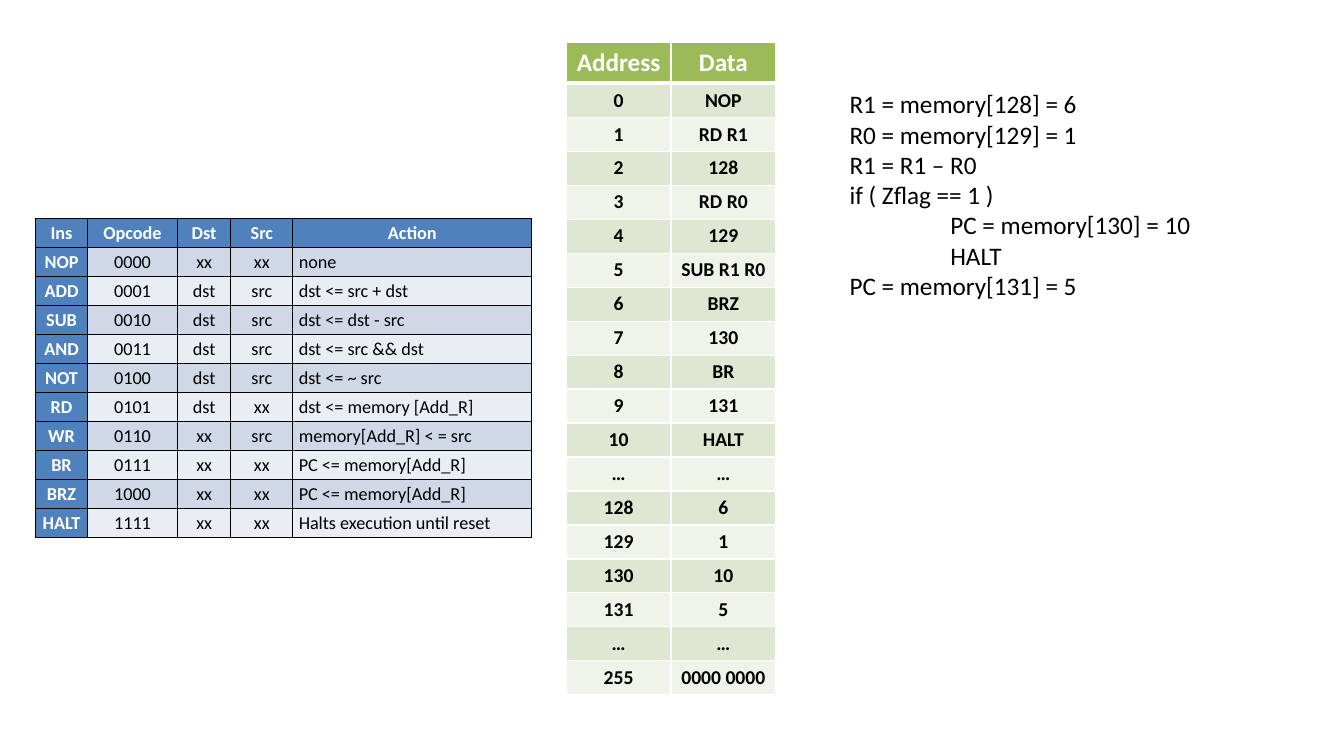
from pptx import Presentation
from pptx.dml.color import RGBColor
from pptx.enum.text import MSO_ANCHOR as Anchor, PP_ALIGN as Align
from pptx.oxml import parse_xml
from pptx.oxml.ns import nsdecls
from pptx.util import Cm, Pt

WHITE = RGBColor(0xFF, 0xFF, 0xFF)
BLACK = RGBColor(0x00, 0x00, 0x00)
GREEN = RGBColor(0x9B, 0xBB, 0x59)
MOSS = RGBColor(0xDE, 0xE7, 0xD1)
MINT = RGBColor(0xEF, 0xF3, 0xEA)
BLUE = RGBColor(0x4F, 0x81, 0xBD)
STEEL = RGBColor(0xD0, 0xD8, 0xE8)
ICE = RGBColor(0xE9, 0xED, 0xF4)

MEMORY = [
    ("Address", "Data"),
    ("0", "NOP"), ("1", "RD R1"), ("2", "128"), ("3", "RD R0"),
    ("4", "129"), ("5", "SUB R1 R0"), ("6", "BRZ"), ("7", "130"),
    ("8", "BR"), ("9", "131"), ("10", "HALT"), ("…", "…"),
    ("128", "6"), ("129", "1"), ("130", "10"), ("131", "5"),
    ("…", "…"), ("255", "0000 0000"),
]
CODES = [
    ("Ins", "Opcode", "Dst", "Src", "Action"),
    ("NOP", "0000", "xx", "xx", "none"),
    ("ADD", "0001", "dst", "src", "dst <= src + dst"),
    ("SUB", "0010", "dst", "src", "dst <= dst - src"),
    ("AND", "0011", "dst", "src", "dst <= src && dst"),
    ("NOT", "0100", "dst", "src", "dst <= ~ src"),
    ("RD", "0101", "dst", "xx", "dst <= memory [Add_R]"),
    ("WR", "0110", "xx", "src", "memory[Add_R] < = src"),
    ("BR", "0111", "xx", "xx", "PC <= memory[Add_R]"),
    ("BRZ", "1000", "xx", "xx", "PC <= memory[Add_R]"),
    ("HALT", "1111", "xx", "xx", "Halts execution until reset"),
]
STEPS = [
    ("R1 = memory[128] = 6", 0),
    ("R0 = memory[129] = 1", 0),
    ("R1 = R1 – R0", 0),
    ("if ( Zflag == 1 )", 0),
    ("PC = memory[130] = 10", 2.54),
    ("HALT", 2.54),
    ("PC = memory[131] = 5", 0),
]


class Page:
    font = "Calibri"

    def __init__(self, slide):
        self.slide = slide

    def label(self, para, text, size, color=BLACK, bold=False):
        run = para.add_run()
        run.text = text
        run.font.name = self.font
        run.font.size = Pt(size)
        run.font.bold = bold
        run.font.color.rgb = color

    def edge(self, cell, color, **widths):
        props = cell._tc.get_or_add_tcPr()
        for side in "LRTB":
            width = Pt(widths.get(side, 1))
            props.append(parse_xml(
                f'<a:ln{side} {nsdecls("a")} w="{width}"><a:solidFill>'
                f'<a:srgbClr val="{color}"/></a:solidFill></a:ln{side}>'))

    def grid(self, rows, left, top, widths, heights):
        frame = self.slide.shapes.add_table(
            len(rows), len(widths), Cm(left), Cm(top),
            Cm(sum(widths)), Cm(sum(heights)))
        table = frame.table
        table.first_row = table.horz_banding = False
        for col, width in zip(table.columns, widths):
            col.width = Cm(width)
        for row, height in zip(table.rows, heights):
            row.height = Cm(height)
        for r, row in enumerate(rows):
            for c, text in enumerate(row):
                yield r, c, text, table.cell(r, c)

    def paint(self, cell, fill, text, size, color, bold, align=Align.CENTER):
        cell.fill.solid()
        cell.fill.fore_color.rgb = fill
        para = cell.text_frame.paragraphs[0]
        para.alignment = align
        self.label(para, text, size, color, bold)

    def memory(self, left, top):
        heights = [1.02] + [0.85] * (len(MEMORY) - 1)
        for r, c, text, cell in self.grid(MEMORY, left, top, [2.64] * 2, heights):
            head = r == 0
            self.edge(cell, WHITE, T=3 if r == 1 else 1, B=3 if head else 1)
            fill = GREEN if head else (MINT, MOSS)[r % 2]
            self.paint(cell, fill, text, 18 if head else 14,
                       WHITE if head else BLACK, True)

    def codes(self, left, top):
        widths = [1.32, 2.26, 1.35, 1.56, 6.02]
        heights = [0.73] * len(CODES)
        for r, c, text, cell in self.grid(CODES, left, top, widths, heights):
            head = r == 0 or c == 0
            cell.margin_left = cell.margin_right = Cm(0.15)
            cell.margin_top = cell.margin_bottom = 0
            cell.vertical_anchor = Anchor.MIDDLE
            self.edge(cell, BLACK)
            fill = BLUE if head else (ICE, STEEL)[r % 2]
            align = Align.LEFT if r and c == 4 else Align.CENTER
            self.paint(cell, fill, text, 13, WHITE if head else BLACK, head, align)

    def steps(self, left, top, width, height):
        box = self.slide.shapes.add_textbox(
            Cm(left), Cm(top), Cm(width), Cm(height))
        frame = box.text_frame
        frame.word_wrap = True
        for i, (text, shift) in enumerate(STEPS):
            para = frame.add_paragraph() if i else frame.paragraphs[0]
            if shift:
                para._p.get_or_add_pPr().set("marL", str(Cm(shift)))
            self.label(para, text, 18)


def main():
    deck = Presentation()
    deck.slide_width, deck.slide_height = Cm(33.87), Cm(19.05)
    page = Page(deck.slides.add_slide(deck.slide_layouts[6]))
    page.memory(14.27, 1.07)
    page.codes(0.89, 5.51)
    page.steps(21.16, 2.11, 11.43, 5.64)
    deck.save("out.pptx")


if __name__ == "__main__":
    main()
